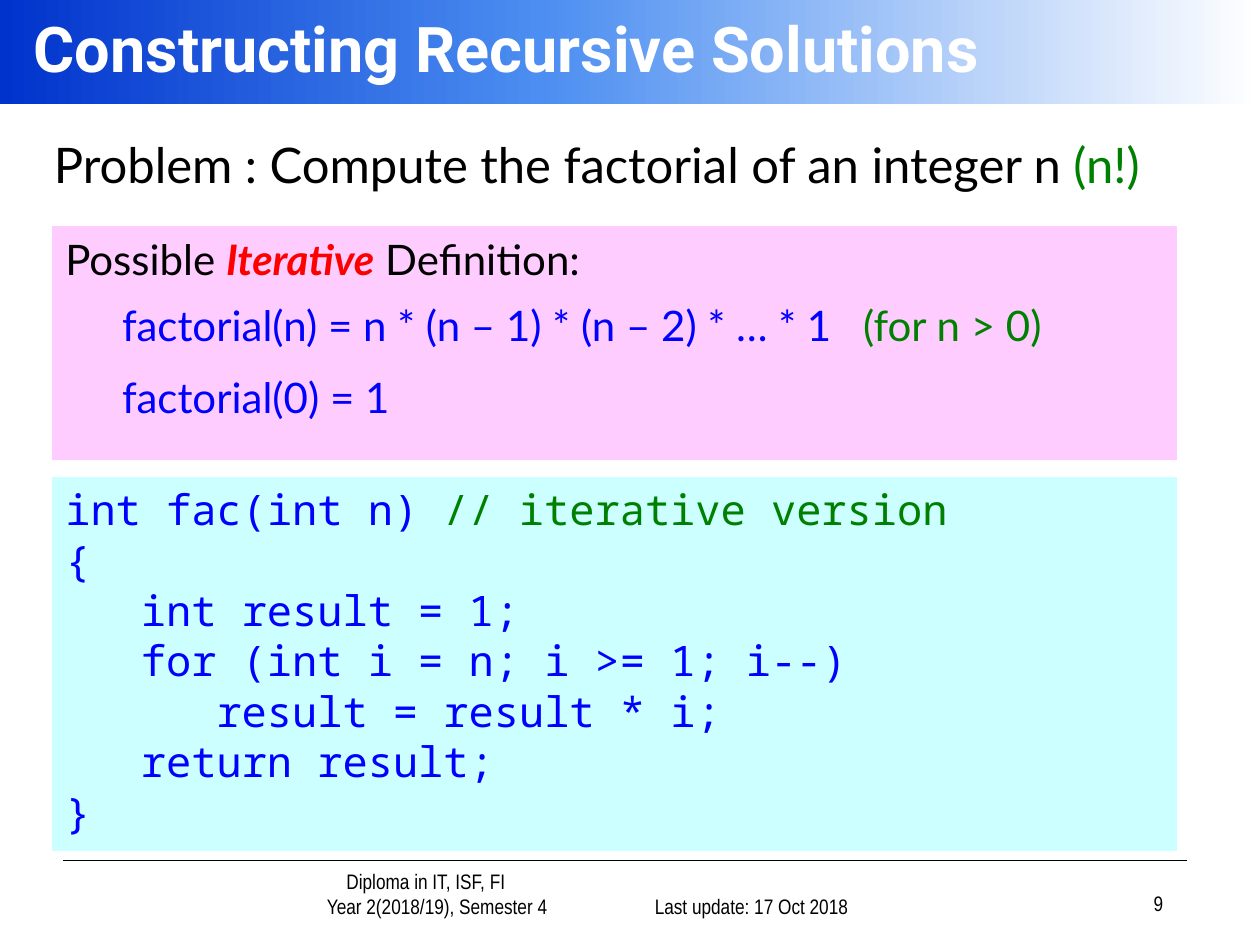
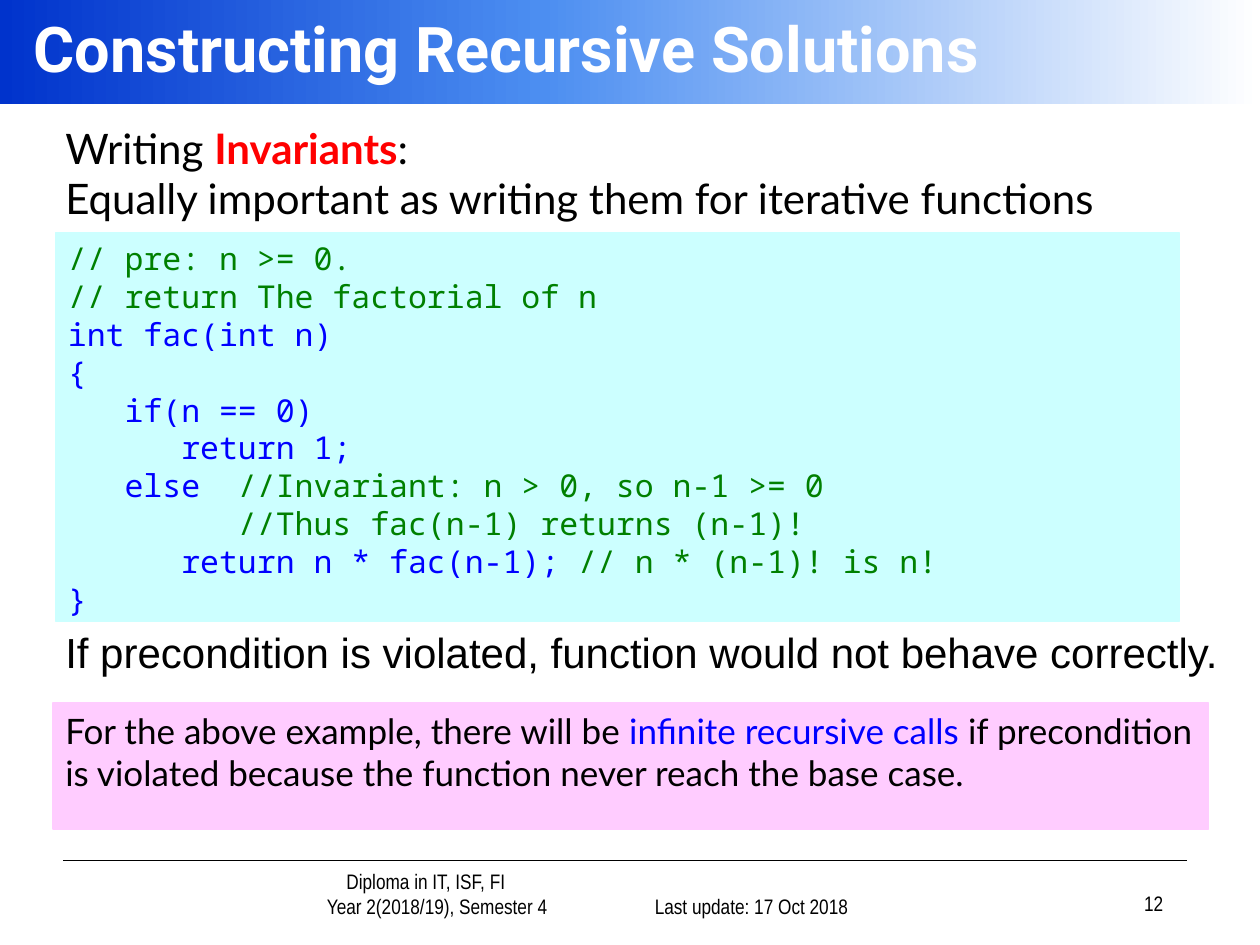
from copy import deepcopy

from lxml import etree
from pptx import Presentation
from pptx.dml.color import RGBColor
from pptx.enum.shapes import MSO_CONNECTOR, MSO_SHAPE
from pptx.enum.text import MSO_ANCHOR, PP_ALIGN
from pptx.oxml.ns import qn
from pptx.util import Inches, Pt

RECT = MSO_SHAPE.RECTANGLE
LINE = MSO_CONNECTOR.STRAIGHT
TOP, MIDDLE, BOTTOM = MSO_ANCHOR.TOP, MSO_ANCHOR.MIDDLE, MSO_ANCHOR.BOTTOM
LEFT, CENTER, RIGHT = PP_ALIGN.LEFT, PP_ALIGN.CENTER, PP_ALIGN.RIGHT

# Shared colours and fonts
BLACK, WHITE, BLUE = "000000", "FFFFFF", "0000FF"
GREEN, RED = "008000", "FF0000"
PINK, CYAN = "FFCCFF", "CCFFFF"
SWEEP = [(0, "0033CC"), (0.43, "4C8EF1"), (1, WHITE)]
BODY, MONO, HEAD, FOOT = "Lato", "Noto Sans Mono", "Roboto", "Arial Narrow"


def color(code):
    return RGBColor.from_string(code)


def write(slide, at, size, font, paras, fill=None, anchor=TOP, align=LEFT):
    """Each paragraph is (indent, before, runs); a run is (text, colour, look)."""
    spot = [Inches(n) for n in at]
    if fill:
        box = slide.shapes.add_shape(RECT, *spot)
        box.shadow.inherit = False
        box.fill.solid()
        box.fill.fore_color.rgb = color(fill)
        box.line.color.rgb = color(fill)
        box.line.width = Pt(0.75)
    else:
        box = slide.shapes.add_textbox(*spot)
    frame = box.text_frame
    frame.word_wrap = True
    frame.vertical_anchor = anchor
    for i, (indent, before, runs) in enumerate(paras):
        para = frame.add_paragraph() if i else frame.paragraphs[0]
        para.alignment = align
        para.space_before = Inches(before)
        props = para._p.get_or_add_pPr()
        props.set("marL", str(Inches(indent)))
        props.set("indent", "0")
        for text, tint, look in runs:
            run = para.add_run()
            run.text = text
            run.font.size = Pt(size)
            run.font.name = "Arial" if "arial" in look else font
            run.font.bold = "bold" in look
            run.font.italic = "italic" in look
            run.font.color.rgb = color(tint)


deck = Presentation()
deck.slide_width, deck.slide_height = Inches(10), Inches(7.5)

# Frame of every slide: band, title, rule and footers
slides = []
for number in ("9", "12"):
    slide = deck.slides.add_slide(deck.slide_layouts[6])
    slides.append(slide)

    band = slide.shapes.add_shape(RECT, 0, 0, Inches(10), Inches(0.83))
    band.shadow.inherit = False
    band.line.fill.background()
    band.fill.gradient()
    band.fill.gradient_angle = 0
    first = band._element.find(".//" + qn("a:gs"))
    first.addnext(deepcopy(first))
    for stop, (place, tint) in zip(band.fill.gradient_stops, SWEEP):
        stop.position = place
        stop.color.rgb = color(tint)

    write(slide, (0.17, 0, 9.83, 0.75), 36, HEAD,
          [(0, 0, [("Constructing Recursive Solutions", WHITE, "bold")])],
          anchor=MIDDLE)

    rule = slide.shapes.add_connector(
        LINE, Inches(0.5), Inches(6.83), Inches(9.42), Inches(6.83))
    rule.line.color.rgb = color(BLACK)
    rule.line.width = Pt(1)
    etree.SubElement(rule._element.spPr, qn("a:effectLst"))

    course = [(0.5, 0, [("Diploma in IT, ISF, FI", BLACK, "")]),
              (0.68, 0, [("Year 2(2018/19), Semester 4", BLACK, "")])]
    date = [(0, 0, [("Last update: 17 Oct 2018", BLACK, "")])]
    page = [(0, 0, [(number, BLACK, "")])]
    for at, paras, align in [((1.68, 6.92, 2.9, 0.42), course, CENTER),
                             ((4.75, 6.92, 2.08, 0.42), date, RIGHT),
                             ((7.25, 6.9, 2.08, 0.42), page, RIGHT)]:
        write(slide, at, 12, FOOT, paras, anchor=BOTTOM, align=align)

loop, proof = slides

# Iterative factorial: problem and definition
write(loop, (0.33, 1.02, 9.33, 0.57), 28, BODY, [
    (0, 0, [("Problem : Compute the factorial of an integer n ", BLACK, ""),
            ("(n!)", GREEN, "")])])
write(loop, (0.42, 1.8, 8.92, 1.85), 24, BODY, [
    (0, 0, [("Possible ", BLACK, ""), ("Iterative", RED, "bold italic"),
            (" Definition:", BLACK, "")]),
    (0.45, 0.13, [
        ("factorial(n) = n * (n – 1) * (n – 2) * … * 1\u2002 ", BLUE, ""),
        ("(for n > 0)", GREEN, "")]),
    (0.45, 0.17, [("factorial(0) = 1", BLUE, "")])], PINK)

# Invariants: the code box covers the gap before the last line
write(proof, (0.42, 0.92, 9.58, 4.95), 24, BODY, [
    (0, 0, [("Writing ", BLACK, ""), ("Invariants", RED, "bold"),
            (":", BLACK, "")]),
    (0, 0, [("Equally important as writing them for iterative functions",
             BLACK, "")]),
    (0, 3.2, [("If precondition is violated, function would not behave "
               "correctly.", BLACK, "arial")])])

# Code boxes: each line is (columns of indent, code, comment)
listings = [
    (loop, (0.42, 3.79, 8.92, 2.96), 24, [
        (0, "int fac(int n) ", "// iterative version"),
        (0, "{", ""),
        (3, "int result = 1;", ""),
        (3, "for (int i = n; i >= 1; i--)", ""),
        (6, "result = result * i;", ""),
        (3, "return result;", ""),
        (0, "}", "")]),
    (proof, (0.44, 1.85, 8.92, 3.08), 18, [
        (0, "", "// pre: n >= 0."),
        (0, "", "// return The factorial of n"),
        (0, "int fac(int n)", ""),
        (0, "{", ""),
        (3, "if(n == 0)", ""),
        (6, "return 1;", ""),
        (3, "else  ", "//Invariant: n > 0, so n-1 >= 0"),
        (9, "", "//Thus fac(n-1) returns (n-1)!"),
        (6, "return n * fac(n-1); ", "// n * (n-1)! is n!"),
        (0, "}", "")]),
]
for slide, at, size, lines in listings:
    step = size * 0.6 / 72  # width of one column
    paras = [(cols * step, 0, [(text, tint, "") for text, tint
                               in ((code, BLUE), (note, GREEN)) if text])
             for cols, code, note in lines]
    write(slide, at, size, MONO, paras, CYAN)

# Closing remark
write(proof, (0.42, 5.58, 9.17, 1), 20, BODY, [
    (0, 0, [("For the above example, there will be ", BLACK, ""),
            ("infinite recursive calls ", BLUE, ""),
            ("if precondition is violated because the function never reach "
             "the base case.", BLACK, "")])], PINK)

deck.save("out.pptx")
